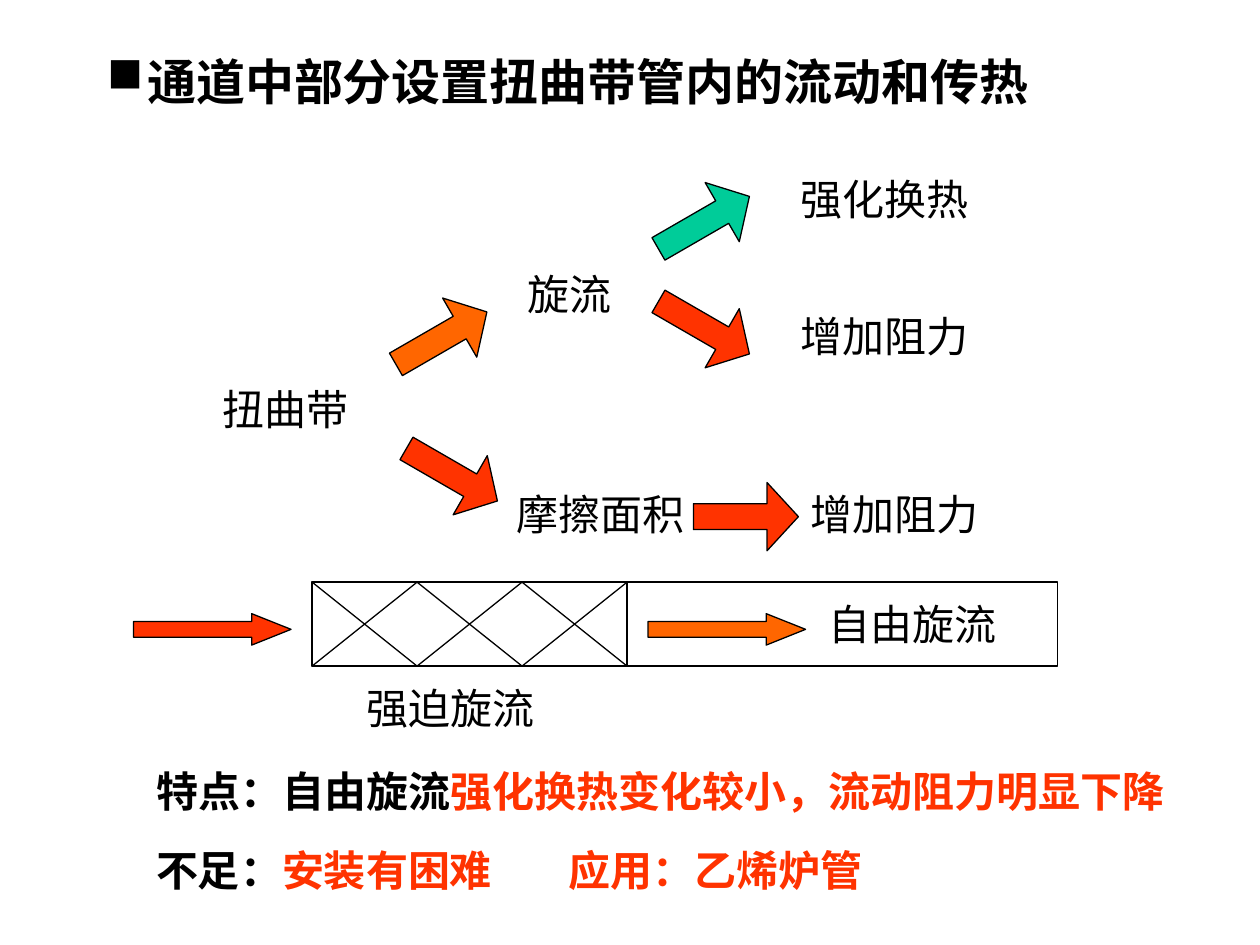
from dataclasses import dataclass

from lxml.etree import SubElement
from pptx import Presentation
from pptx.dml.color import RGBColor
from pptx.enum.shapes import MSO_CONNECTOR as Connector, MSO_SHAPE as Shape
from pptx.oxml.ns import qn
from pptx.util import Inches, Pt

COLORS = {"black": "000000", "red": "FF3300", "orange": "FF6600", "green": "00CC99"}
FONT = "Times New Roman"
CELL = 1 / 12
TEXT_ROWS = 6


@dataclass
class Box:
    left: float
    top: float
    width: float
    height: float

    def area(self, column, row, columns, rows):
        return Box(self.left + column * CELL, self.top + row * CELL, columns * CELL, rows * CELL)

    def lengths(self):
        return [Inches(value) for value in (self.left, self.top, self.width, self.height)]


def color(name):
    return RGBColor.from_string(COLORS[name])


def add_text(slide, box, runs, size=24, bold=False):
    frame = slide.shapes.add_textbox(*box.lengths()).text_frame
    frame.word_wrap = True
    paragraph = frame.paragraphs[0]
    for text, name in runs:
        run = paragraph.add_run()
        run.text = text
        run.font.color.rgb = color(name)
    paragraph.font.name = FONT
    paragraph.font.size = Pt(size)
    paragraph.font.bold = bold
    return paragraph


def add_outline(slide, kind, box, fill=None):
    shape = slide.shapes.add_shape(kind, *box.lengths())
    shape.shadow.inherit = False
    if fill:
        shape.fill.solid()
        shape.fill.fore_color.rgb = color(fill)
    else:
        shape.fill.background()
    shape.line.color.rgb = color("black")
    shape.line.width = Pt(0.75)
    return shape


def add_arrow(slide, box, fill, shaft, head, angle=0):
    arrow = add_outline(slide, Shape.RIGHT_ARROW, box, fill)
    arrow.adjustments[0] = shaft
    arrow.adjustments[1] = head
    arrow.rotation = angle


def add_wall(slide, box):
    left, top, _, height = box.lengths()
    wall = slide.shapes.add_connector(Connector.STRAIGHT, left, top, left, top + height)
    wall.line.color.rgb = color("black")
    wall.line.width = Pt(0.75)
    SubElement(wall._element.spPr, qn("a:effectLst"))


def add_title(slide, box):
    paragraph = add_text(slide, box, [("通道中部分设置扭曲带管内的流动和传热", "black")], 28, True)
    properties = paragraph._p.get_or_add_pPr()
    indent = Inches(0.32)
    properties.set("marL", str(indent))
    properties.set("indent", str(-indent))
    bullet = SubElement(properties, qn("a:buChar"), char="■")
    properties.insert(0, bullet)


def add_effect_tree(slide, box):
    labels = [
        ("扭曲带", 0, 20, 17),
        ("旋流", 29, 9, 14),
        ("摩擦面积", 28, 30, 24),
        ("强化换热", 55, 0, 21),
        ("增加阻力", 55, 13, 20),
        ("增加阻力", 56, 30, 20),
    ]
    for text, column, row, columns in labels:
        add_text(slide, box.area(column, row, columns, TEXT_ROWS), [(text, "black")])
    arrows = [
        (18, 26, 30, "red"),
        (42, 12, 30, "red"),
        (17, 13, 330, "orange"),
        (42, 2, 330, "green"),
        (46, 30, 0, "red"),
    ]
    for column, row, angle, fill in arrows:
        add_arrow(slide, box.area(column, row, 10, 6.5), fill, 0.38, 0.46, angle)


def add_tube(slide, box):
    tube_start, twist, twists, height = 17, 10, 3, 8
    add_outline(slide, Shape.RECTANGLE, box.area(tube_start, 0, 71, height))
    for index in range(twists):
        add_outline(slide, Shape.FLOWCHART_COLLATE,
                    box.area(tube_start + index * twist, 0, twist, height))
    add_wall(slide, box.area(tube_start + twists * twist, 0, 0, height))
    for column, fill in ((0, "red"), (49, "orange")):
        add_arrow(slide, box.area(column, 3, 15, 3), fill, 0.5, 1.25)
    add_text(slide, box.area(65, 1, 24, TEXT_ROWS), [("自由旋流", "black")])
    add_text(slide, box.area(21, 9, 26, TEXT_ROWS), [("强迫旋流", "black")])


def add_notes(slide, box):
    add_text(slide, box.area(0, 0, 100, TEXT_ROWS),
             [("特点：自由旋流", "black"), ("强化换热变化较小，流动阻力明显下降", "red")], bold=True)
    paragraph = add_text(slide, box.area(0, 7.5, 95, TEXT_ROWS),
                         [("不足：", "black"), ("安装有困难\t应用：乙烯炉管", "red")], bold=True)
    properties = paragraph._p.get_or_add_pPr()
    tabs = SubElement(properties, qn("a:tabLst"))
    SubElement(tabs, qn("a:tab"), pos=str(Inches(3.27)), algn="l")
    properties.insert(0, tabs)


def main():
    presentation = Presentation()
    presentation.slide_width = Inches(10)
    presentation.slide_height = Inches(7.5)
    slide = presentation.slides.add_slide(presentation.slide_layouts[6])
    add_effect_tree(slide, Box(1.67, 1.33, 6.33, 3.04))
    add_tube(slide, Box(1.06, 4.62, 7.42, 1.25))
    add_title(slide, Box(0.75, 0.36, 8.98, 0.57))
    add_notes(slide, Box(1.14, 6.03, 8.35, 1.13))
    presentation.save("out.pptx")


if __name__ == "__main__":
    main()
